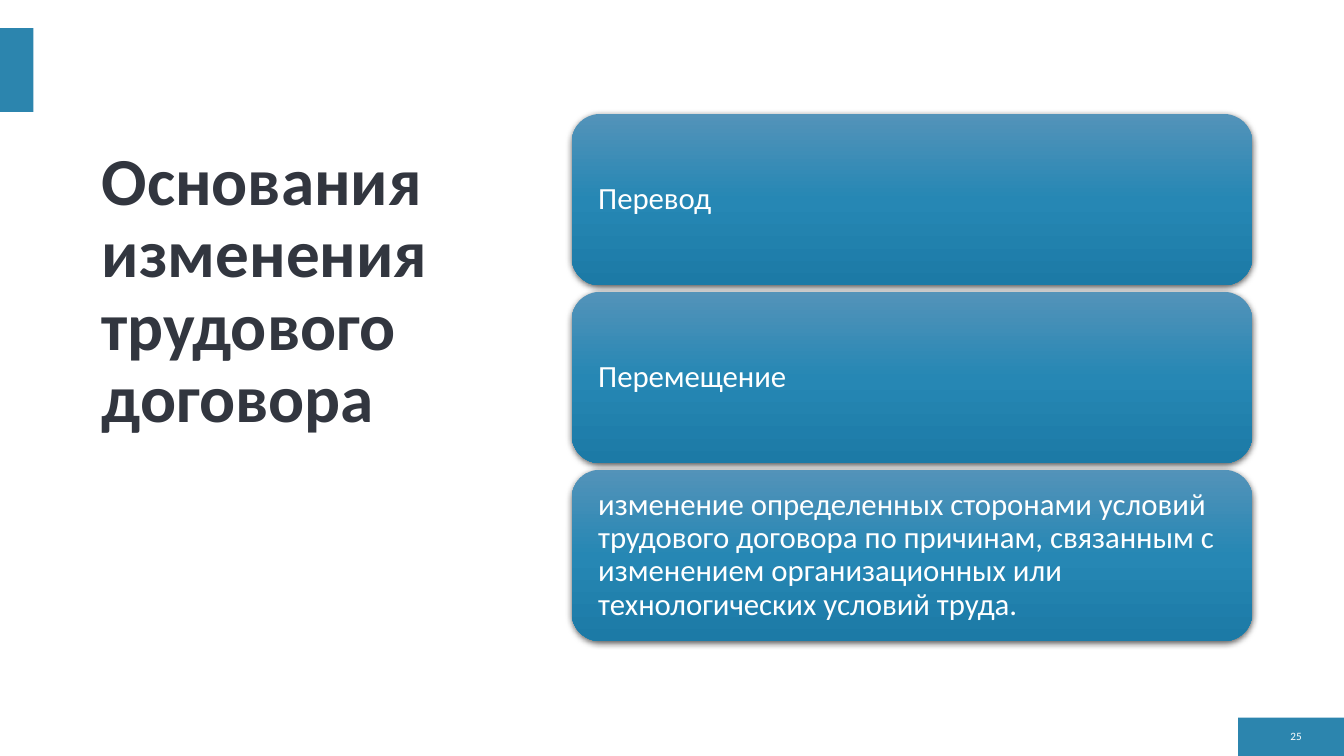
from copy import deepcopy
from dataclasses import dataclass

from lxml import etree
from pptx import Presentation
from pptx import util as u
from pptx.dml.color import RGBColor
from pptx.enum import shapes, text
from pptx.oxml import ns

WHITE = RGBColor(0xFF, 0xFF, 0xFF)
INK = RGBColor(0x32, 0x36, 0x3F)
ACCENT = RGBColor(0x2C, 0x85, 0xAE)
CARD_STOPS = (
    (0, RGBColor(0x53, 0x93, 0xB9)),
    (0.5, RGBColor(0x26, 0x87, 0xB4)),
    (1, RGBColor(0x1C, 0x7A, 0xA6)),
)
FONT = "Calibri"
CARD_TOP, CARD_PITCH = 15.07, 23.53
GROUNDS = (
    "Перевод",
    "Перемещение",
    "изменение определенных сторонами условий трудового договора по причинам, "
    "связанным с изменением организационных или технологических условий труда.",
)


@dataclass(frozen=True)
class Box:
    """Left, top, width and height in percent of the slide's size."""
    left: float
    top: float
    width: float
    height: float

    def place(self) -> tuple[int, int, int, int]:
        return (
            int(prs.slide_width * self.left / 100),
            int(prs.slide_height * self.top / 100),
            int(prs.slide_width * self.width / 100),
            int(prs.slide_height * self.height / 100),
        )


@dataclass(frozen=True)
class Style:
    size: float
    color: RGBColor
    anchor: text.MSO_ANCHOR
    align: text.PP_ALIGN = text.PP_ALIGN.LEFT
    bold: bool = False
    inset_x: float = 0.1
    inset_y: float = 0.05


TITLE = Style(48, INK, text.MSO_ANCHOR.BOTTOM, bold=True)
NUMBER = Style(8, WHITE, text.MSO_ANCHOR.MIDDLE, text.PP_ALIGN.RIGHT)
CARD = Style(22, WHITE, text.MSO_ANCHOR.MIDDLE, inset_x=0.18, inset_y=0.18)
BANDS = (Box(92.12, 94.93, 7.88, 5.07), Box(0, 3.73, 2.48, 11.07))


def write(sp, words: str, style: Style) -> None:
    tf = sp.text_frame
    tf.word_wrap = True
    tf.vertical_anchor = style.anchor
    tf.margin_left = tf.margin_right = u.Inches(style.inset_x)
    tf.margin_top = tf.margin_bottom = u.Inches(style.inset_y)
    tf.text = words
    p = tf.paragraphs[0]
    p.alignment = style.align
    p.line_spacing = 0.9
    font = p.runs[0].font
    font.name = FONT
    font.size = u.Pt(style.size)
    font.bold = style.bold
    font.color.rgb = style.color


def add_text(s, box: Box, words: str, style: Style) -> None:
    write(s.shapes.add_textbox(*box.place()), words, style)


def add_plain(s, kind: shapes.MSO_SHAPE, box: Box):
    sp = s.shapes.add_shape(kind, *box.place())
    sp.shadow.inherit = False
    sp.line.fill.background()
    return sp


def add_band(s, box: Box) -> None:
    sp = add_plain(s, shapes.MSO_SHAPE.RECTANGLE, box)
    sp.fill.solid()
    sp.fill.fore_color.rgb = ACCENT


def add_card(s, box: Box, words: str) -> None:
    sp = add_plain(s, shapes.MSO_SHAPE.ROUNDED_RECTANGLE, box)
    sp.fill.gradient()
    sp.fill.gradient_angle = 270
    props = sp._element.spPr
    stop_list = props.find(".//" + ns.qn("a:gsLst"))
    stop_list.append(deepcopy(stop_list[-1]))
    for stop, (position, color) in zip(sp.fill.gradient_stops, CARD_STOPS):
        stop.position = position
        stop.color.rgb = color
    shadow = etree.SubElement(
        props.find(ns.qn("a:effectLst")), ns.qn("a:outerShdw"),
        blurRad=str(u.Pt(4.5)), dist=str(u.Pt(1.5)), dir="5400000",
        algn="ctr", rotWithShape="0")
    black = etree.SubElement(shadow, ns.qn("a:srgbClr"), val="000000")
    etree.SubElement(black, ns.qn("a:alpha"), val="63000")
    write(sp, words, CARD)


prs = Presentation()
prs.slide_width, prs.slide_height = u.Inches(13.33), u.Inches(7.5)


def main() -> None:
    s = prs.slides.add_slide(prs.slide_layouts[6])
    for band in BANDS:
        add_band(s, band)
    add_text(s, Box(6.83, 35.2, 32.26, 23.33),
             "Основания изменения трудового договора", TITLE)
    add_text(s, Box(94.52, 96, 3.08, 3.07), "25", NUMBER)
    for row, ground in enumerate(GROUNDS):
        add_card(s, Box(42.54, CARD_TOP + row * CARD_PITCH, 50.64, 22.67), ground)
    prs.save("out.pptx")


if __name__ == "__main__":
    main()
